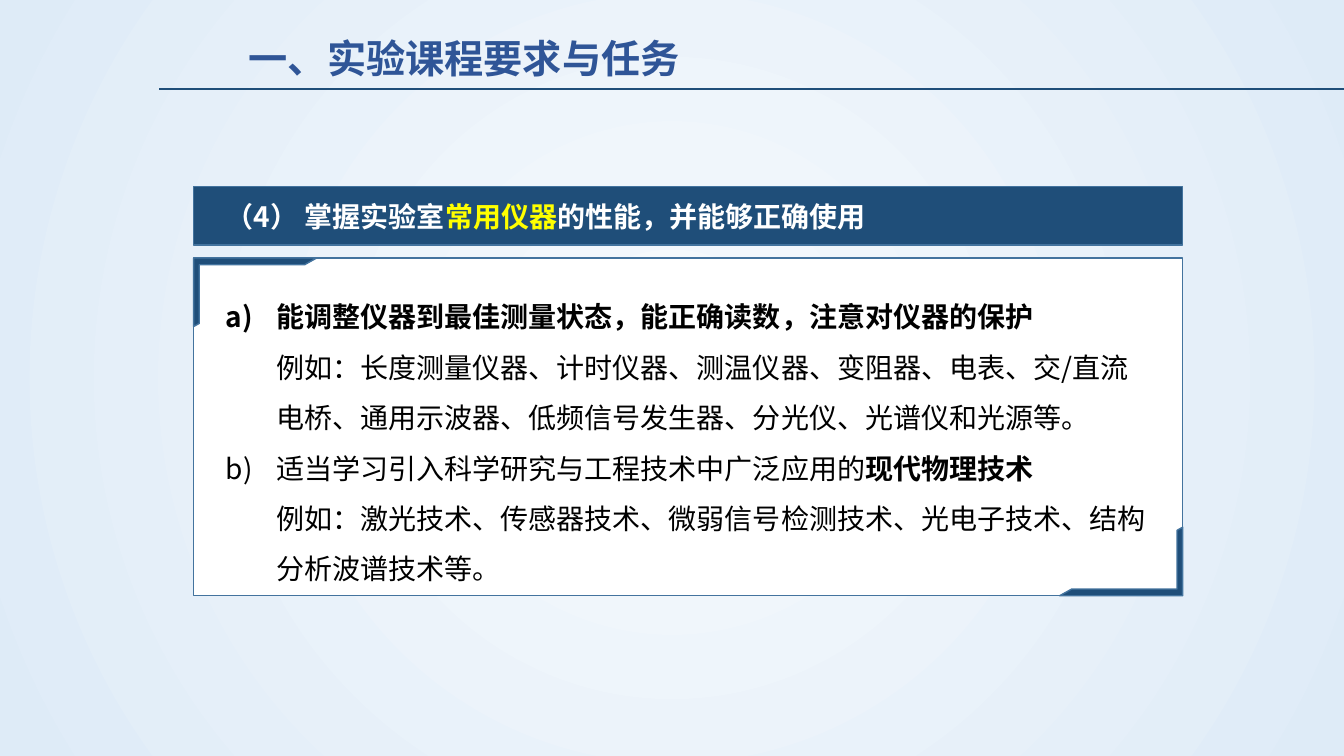
from lxml.etree import SubElement
from pptx import Presentation
from pptx.dml.color import RGBColor
from pptx.enum.shapes import MSO_CONNECTOR as Connector, MSO_SHAPE as Preset
from pptx.oxml.ns import qn
from pptx.util import Inches, Pt

FONT = "Noto Sans CJK SC"
NAVY, EDGE, WHITE, BLACK = "1F4E79", "43739E", "FFFFFF", "000000"
TITLE_BLUE, YELLOW = "2F5597", "FFFF00"
SLIDE_W, SLIDE_H = 13.33, 7.5
PANEL_LEFT, PANEL_W = 1.92, 9.81
PANEL_TOP, PANEL_H = 2.56, 3.35
CORNER_W, CORNER_H = 1.22, 0.68
TEXT_LEFT = PANEL_LEFT + 0.22

deck = Presentation()
deck.slide_width, deck.slide_height = Inches(SLIDE_W), Inches(SLIDE_H)
slide = deck.slides.add_slide(deck.slide_layouts[6])


def add_block(preset, left, top, width, height, fill):
    block = slide.shapes.add_shape(preset, *map(Inches, (left, top, width, height)))
    block.shadow.inherit = False
    block.fill.solid()
    block.fill.fore_color.rgb = RGBColor.from_string(fill)
    block.line.color.rgb = RGBColor.from_string(EDGE)
    block.line.width = Pt(1)
    return block


def add_text(paragraphs, left, top, width, height, size=20, lettered=False, wrap=True):
    """Each paragraph is a list of (text, colour, bold); a newline ends a line."""
    frame = slide.shapes.add_textbox(*map(Inches, (left, top, width, height))).text_frame
    frame.word_wrap = wrap
    for index, pieces in enumerate(paragraphs):
        paragraph = frame.add_paragraph() if index else frame.paragraphs[0]
        if lettered:
            properties = paragraph._p.get_or_add_pPr()
            properties.set("marL", str(Inches(0.5)))
            properties.set("indent", str(-Inches(0.5)))
            SubElement(properties, qn("a:buFont"), typeface=FONT)
            SubElement(properties, qn("a:buAutoNum"), type="alphaLcParenR")
            paragraph.line_spacing = 1.5
        paragraph.font.size = Pt(size)
        for text, colour, bold in pieces:
            run = paragraph.add_run()
            run.text = text.rstrip("\n")
            run.font.size, run.font.bold, run.font.name = Pt(size), bold, FONT
            run.font.color.rgb = RGBColor.from_string(colour)
            SubElement(run.font._element, qn("a:ea"), typeface=FONT)
            if text.endswith("\n"):
                paragraph.add_line_break()


# Background: light centre fading outwards
backdrop = slide.background.fill
backdrop.gradient()
for stop, colour in zip(backdrop.gradient_stops, ("F7FAFD", "DEEBF7")):
    stop.color.rgb = RGBColor.from_string(colour)
gradient = slide.element.find(".//" + qn("a:gradFill"))
gradient.remove(gradient.find(qn("a:lin")))
circle = SubElement(gradient, qn("a:path"), {"path": "circle"})
SubElement(circle, qn("a:fillToRect"), dict.fromkeys("ltrb", "50000"))

# Title and rule
rule = slide.shapes.add_connector(
    Connector.STRAIGHT, *map(Inches, (1.58, 0.88, SLIDE_W, 0.88)))
rule.line.color.rgb = RGBColor.from_string(NAVY)
rule.line.width = Pt(1.25)
SubElement(rule._element.spPr, qn("a:effectLst"))
add_text([[("一、实验课程要求与任务", TITLE_BLUE, True)]], 2.37, 0.29, 5.17, 0.57, size=28)

# Panel with two opposite corner brackets
add_block(Preset.RECTANGLE, PANEL_LEFT, PANEL_TOP, PANEL_W, PANEL_H, WHITE)
for across, down, turn in ((0, 0, 0), (PANEL_W - CORNER_W, PANEL_H - CORNER_H, 180)):
    corner = add_block(Preset.HALF_FRAME, PANEL_LEFT + across, PANEL_TOP + down,
                       CORNER_W, CORNER_H, NAVY)
    corner.adjustments[0], corner.adjustments[1] = 0.098, 0.083
    corner.rotation = turn

add_text([
    [("能调整仪器到最佳测量状态，能正确读数，注意对仪器的保护\n", BLACK, True),
     ("例如：长度测量仪器、计时仪器、测温仪器、变阻器、电表、交/直流电桥、"
      "通用示波器、低频信号发生器、分光仪、光谱仪和光源等。", BLACK, False)],
    [("适当学习引入科学研究与工程技术中广泛应用的", BLACK, False),
     ("现代物理技术\n", BLACK, True),
     ("例如：激光技术、传感器技术、微弱信号检测技术、光电子技术、"
      "结构分析波谱技术等。", BLACK, False)],
], TEXT_LEFT, 2.76, 9.41, 3.07, lettered=True)

# Heading bar
add_block(Preset.RECTANGLE, PANEL_LEFT, 1.85, PANEL_W, 0.58, NAVY)
add_text([[("（4） 掌握实验室", WHITE, True), ("常用仪器", YELLOW, True),
           ("的性能，并能够正确使用", WHITE, True)]], TEXT_LEFT, 1.93, 9.31, 0.44)

deck.save("out.pptx")
